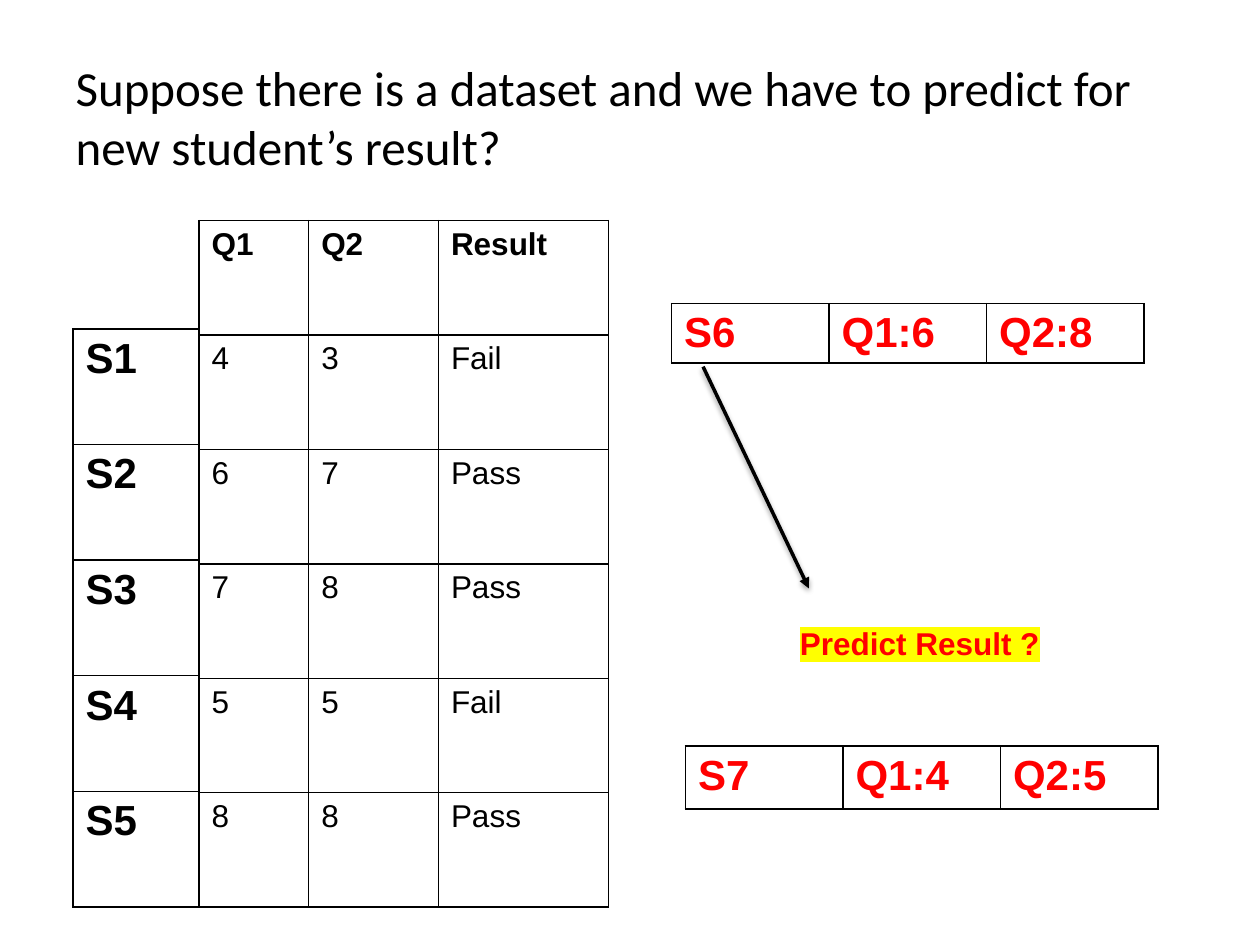
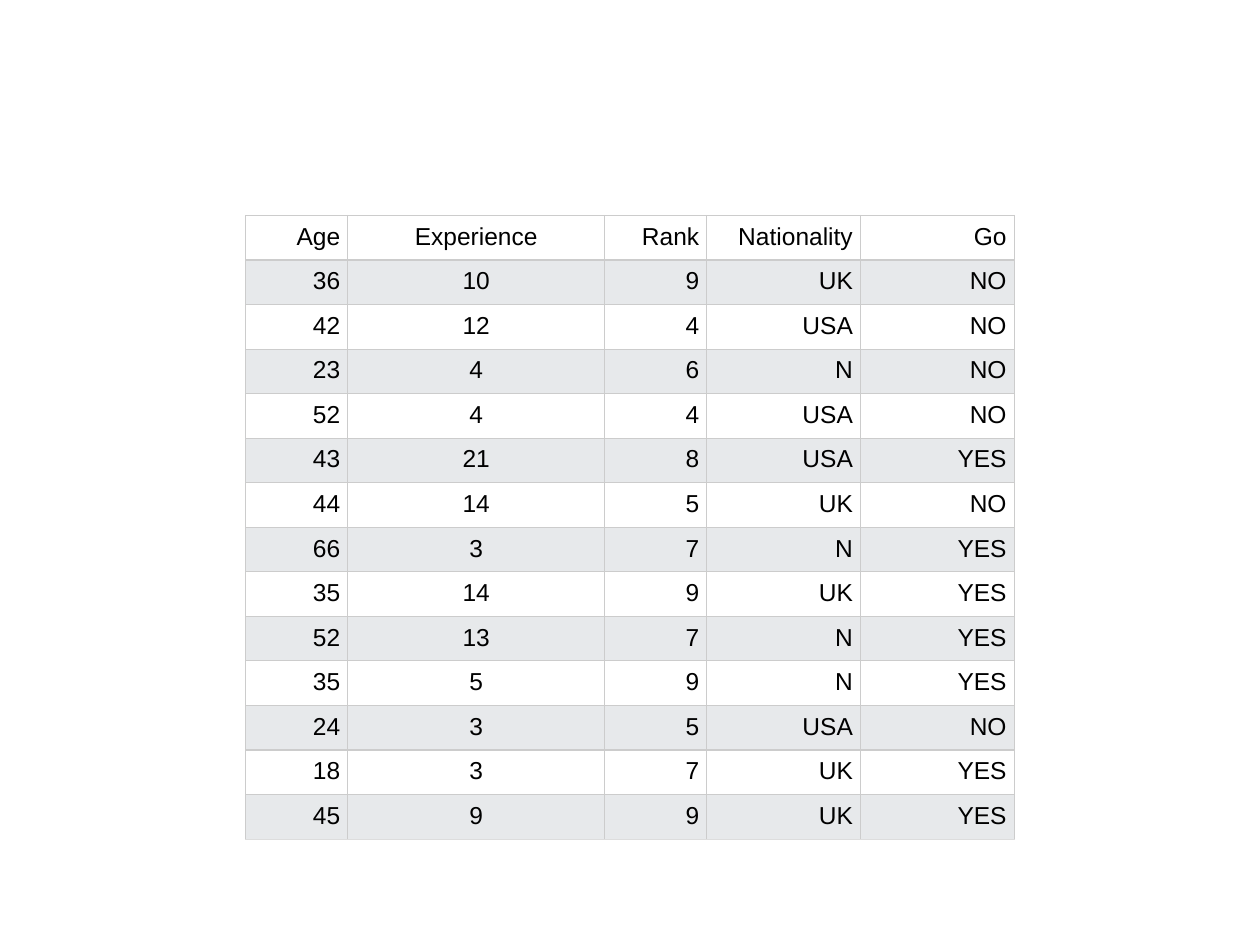
from pptx import Presentation
from pptx.dml.color import RGBColor
from pptx.enum import shapes as kinds, text as txt
from pptx.oxml import parse_xml
from pptx.oxml.ns import nsdecls, qn
from pptx.util import Inches, Pt

BLACK, RED, WHITE = "000000", "FF0000", "FFFFFF"
BAND, RULE, FOOT, MARK = "E7E9EB", "CCCCCC", "DDDDDD", "FFFF00"
LEFT, MID, RIGHT = txt.PP_ALIGN.LEFT, txt.PP_ALIGN.CENTER, txt.PP_ALIGN.RIGHT

MARKS = [
    ("Q1", "Q2", "Result"),
    (4, 3, "Fail"),
    (6, 7, "Pass"),
    (7, 8, "Pass"),
    (5, 5, "Fail"),
    (8, 8, "Pass"),
]
STAFF = [
    ("Age", "Experience", "Rank", "Nationality", "Go"),
    (36, 10, 9, "UK", "NO"),
    (42, 12, 4, "USA", "NO"),
    (23, 4, 6, "N", "NO"),
    (52, 4, 4, "USA", "NO"),
    (43, 21, 8, "USA", "YES"),
    (44, 14, 5, "UK", "NO"),
    (66, 3, 7, "N", "YES"),
    (35, 14, 9, "UK", "YES"),
    (52, 13, 7, "N", "YES"),
    (35, 5, 9, "N", "YES"),
    (24, 3, 5, "USA", "NO"),
    (18, 3, 7, "UK", "YES"),
    (45, 9, 9, "UK", "YES"),
]


def rgb(code):
    return RGBColor.from_string(code)


def xml(body):
    """Parse one element, adding the drawing namespace to its tag."""
    tag, rest = body.split(" ", 1)
    return parse_xml(f"{tag} {nsdecls('a')} {rest}")


def write(frame, words, size=18, font="Arial", color=BLACK, bold=False,
          align=LEFT, mark=None):
    para = frame.paragraphs[0]
    para.alignment = align
    run = para.add_run()
    run.text = str(words)
    run.font.size, run.font.name, run.font.bold = Pt(size), font, bold
    run.font.color.rgb = rgb(color)
    if mark:
        fill = run.font.fill._xPr.find(qn("a:solidFill"))
        fill.addnext(xml(f'<a:highlight ><a:srgbClr val="{mark}"/></a:highlight>'))


def border(cell, color, width, foot=None):
    props = cell._tc.get_or_add_tcPr()
    for i, side in enumerate("LRTB"):
        hue = foot if foot and side == "B" else color
        props.insert(i, xml(
            f'<a:ln{side} w="{Pt(width)}"><a:solidFill><a:srgbClr val="{hue}"/>'
            f'</a:solidFill></a:ln{side}>'))


def grid(slide, left, top, height, cols, rows):
    """Add a plain table of equal rows and return its object."""
    table = slide.shapes.add_table(
        len(rows), len(cols), Inches(left), Inches(top),
        Inches(sum(cols)), Inches(height)).table
    table.first_row = table.horz_banding = False
    for col, width in zip(table.columns, cols):
        col.width = Inches(width)
    for row in table.rows:
        row.height = Inches(height / len(rows))
    return table


def boxed(slide, left, top, height, cols, rows, head=False, **style):
    """Table with black lines and no fill; head makes the first row bold."""
    table = grid(slide, left, top, height, cols, rows)
    for r, row in enumerate(rows):
        for c, value in enumerate(row):
            cell = table.cell(r, c)
            look = {"bold": head and r == 0, **style}
            write(cell.text_frame, value, **look)
            cell.fill.background()
            border(cell, BLACK, 1)


def banded(slide, left, top, height, cols, rows):
    table = grid(slide, left, top, height, cols, rows)
    for r, row in enumerate(rows):
        for c, value in enumerate(row):
            cell = table.cell(r, c)
            cell.margin_left = Inches(0.06 if c else 0.13)
            cell.margin_top = cell.margin_right = cell.margin_bottom = Inches(0.06)
            write(cell.text_frame, value, size=14, align=MID if c == 1 else RIGHT)
            cell.fill.solid()
            cell.fill.fore_color.rgb = rgb(BAND if r % 2 else WHITE)
            border(cell, RULE, 0.75, FOOT if r == len(rows) - 1 else None)


def arrow(slide, x1, y1, x2, y2):
    line = slide.shapes.add_connector(
        kinds.MSO_CONNECTOR.STRAIGHT, *map(Inches, (x1, y1, x2, y2)))
    line.line.color.rgb = rgb(BLACK)
    line.line.width = Pt(2)
    line.line._get_or_add_ln().append(xml('<a:tailEnd type="triangle"/>'))
    line._element.spPr.append(xml(
        f'<a:effectLst ><a:outerShdw blurRad="{Pt(3.1)}" dist="{Pt(1.6)}" '
        f'dir="5400000" rotWithShape="0"><a:srgbClr val="{BLACK}">'
        '<a:alpha val="38000"/></a:srgbClr></a:outerShdw></a:effectLst>'))


def title(slide, words):
    head = slide.shapes.title
    head.left, head.top, head.width, head.height = map(Inches, (0.5, 0.3, 9, 1.25))
    head.text_frame.vertical_anchor = txt.MSO_ANCHOR.MIDDLE
    write(head.text_frame, words, size=28, font="Calibri")


def query(slide, left, top, height, *parts):
    """One row that holds a new student's marks."""
    boxed(slide, left, top, height, [1.25] * 3, [parts],
          size=24, color=RED, bold=True)


def label(slide, left, top, width, height, words):
    frame = slide.shapes.add_textbox(
        *map(Inches, (left, top, width, height))).text_frame
    frame.word_wrap = False
    frame.auto_size = txt.MSO_AUTO_SIZE.SHAPE_TO_FIT_TEXT
    write(frame, words, color=RED, bold=True, mark=MARK)


def students(deck):
    slide = deck.slides.add_slide(deck.slide_layouts[5])
    title(slide, "Suppose there is a dataset and we have to predict for "
                 "new student’s result?")
    boxed(slide, 1.58, 1.75, 5.45, [0.87, 1.03, 1.35], MARKS, head=True)
    boxed(slide, 0.58, 2.61, 4.59, [1], [[f"S{n}"] for n in range(1, 6)],
          size=24, bold=True)
    query(slide, 5.33, 2.41, 0.47, "S6", "Q1:6", "Q2:8")
    arrow(slide, 5.58, 2.91, 6.42, 4.67)
    label(slide, 6.25, 4.9, 2.12, 0.4, "Predict Result ?")
    query(slide, 5.44, 5.92, 0.5, "S7", "Q1:4", "Q2:5")


def staff(deck):
    slide = deck.slides.add_slide(deck.slide_layouts[6])
    banded(slide, 1.95, 1.71, 4.95, [0.81, 2.04, 0.81, 1.22, 1.22], STAFF)


def main():
    deck = Presentation()
    deck.slide_width, deck.slide_height = Inches(10), Inches(7.5)
    students(deck)
    staff(deck)
    deck.save("out.pptx")


if __name__ == "__main__":
    main()
